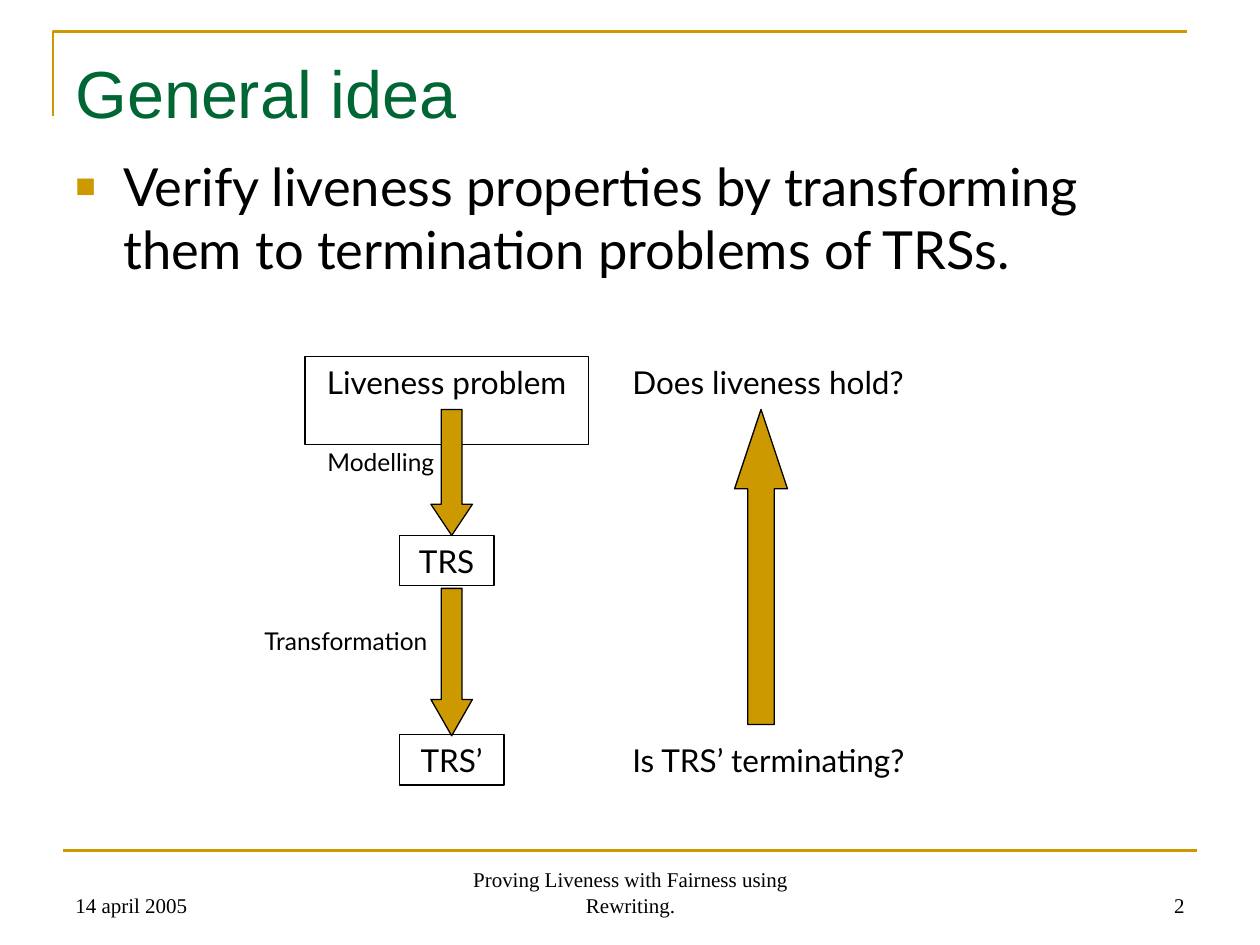
from pptx import Presentation
from pptx.dml.color import RGBColor
from pptx.enum.shapes import MSO_CONNECTOR, MSO_SHAPE
from pptx.enum.text import MSO_ANCHOR, PP_ALIGN
from pptx.oxml.ns import qn
from pptx.util import Inches, Pt
from lxml.etree import SubElement

GOLD = RGBColor(0xCC, 0x99, 0x00)
GREEN = RGBColor(0x00, 0x66, 0x33)
BLACK = RGBColor(0, 0, 0)


def write(frame, text, size=18, font="Lato", color=BLACK, align=PP_ALIGN.LEFT,
          anchor=MSO_ANCHOR.TOP, bullet=None):
    frame.word_wrap = True
    frame.vertical_anchor = anchor
    paragraph = frame.paragraphs[0]
    paragraph.text = text
    paragraph.alignment = align
    if bullet:
        props = paragraph._p.get_or_add_pPr()
        props.set("marL", str(Inches(0.38)))
        props.set("indent", str(-Inches(0.38)))
        bullet_color = SubElement(props, qn("a:buClr"))
        SubElement(bullet_color, qn("a:srgbClr"), val=str(GOLD))
        SubElement(props, qn("a:buSzPct"), val="65000")
        SubElement(props, qn("a:buFont"), typeface="Arial")
        SubElement(props, qn("a:buChar"), char=bullet)
    run_font = paragraph.runs[0].font
    run_font.name, run_font.size = font, Pt(size)
    run_font.color.rgb = color


class Diagram:
    """Draws elements in one style on one slide."""

    def __init__(self, slide):
        self.shapes = slide.shapes

    def text(self, text, left, top, width, height, **style):
        box = self.shapes.add_textbox(Inches(left), Inches(top),
                                      Inches(width), Inches(height))
        write(box.text_frame, text, **style)
        return box.text_frame

    def outlined(self, preset, left, top, width, height):
        shape = self.shapes.add_shape(preset, Inches(left), Inches(top),
                                      Inches(width), Inches(height))
        shape.shadow.inherit = False
        shape.line.color.rgb = BLACK
        shape.line.width = Pt(0.75)
        return shape

    def box(self, text, *place):
        shape = self.outlined(MSO_SHAPE.RECTANGLE, *place)
        shape.fill.background()
        write(shape.text_frame, text, align=PP_ALIGN.CENTER)

    def arrow(self, preset, head, *place):
        shape = self.outlined(preset, *place)
        shape.fill.solid()
        shape.fill.fore_color.rgb = GOLD
        shape.adjustments[0] = 0.5
        shape.adjustments[1] = head

    def rule(self, x1, x2, y):
        line = self.shapes.add_connector(MSO_CONNECTOR.STRAIGHT, Inches(x1),
                                         Inches(y), Inches(x2), Inches(y))
        line.line.color.rgb = GOLD
        line.line.width = Pt(1.5)
        SubElement(line._element.spPr, qn("a:effectLst"))

    def corner(self, left, top, right, bottom):
        builder = self.shapes.build_freeform(Inches(left), Inches(bottom))
        builder.add_line_segments([(Inches(left), Inches(top)),
                                   (Inches(right), Inches(top))], close=False)
        frame = builder.convert_to_shape()
        frame.shadow.inherit = False
        frame.fill.background()
        frame.line.color.rgb = GOLD
        frame.line.width = Pt(1.5)


def main():
    prs = Presentation()
    prs.slide_width, prs.slide_height = Inches(10), Inches(7.5)
    diagram = Diagram(prs.slides.add_slide(prs.slide_layouts[6]))

    # Frame lines
    diagram.corner(0.42, 0.25, 9.42, 0.92)
    diagram.rule(0.5, 9.5, 6.75)

    # Title and statement
    title = diagram.text("General idea", 0.5, 0.3, 9, 0.61,
                         size=38, font="Arial", color=GREEN)
    title.margin_top, title.margin_bottom = Inches(0.11), 0
    diagram.text("Verify liveness properties by transforming them to "
                 "termination problems of TRSs.", 0.5, 1.17, 9, 5.54,
                 size=30, bullet="■")

    # Problem, model and transformed model
    diagram.box("Liveness problem", 2.42, 2.83, 2.25, 0.7)
    diagram.box("TRS", 3.17, 4.25, 0.75, 0.4)
    diagram.box("TRS’", 3.17, 5.83, 0.83, 0.4)

    # Steps down
    diagram.arrow(MSO_SHAPE.DOWN_ARROW, 0.75, 3.42, 3.25, 0.33, 1)
    diagram.arrow(MSO_SHAPE.DOWN_ARROW, 0.875, 3.42, 4.67, 0.33, 1.17)
    diagram.text("Modelling", 2.5, 3.5, 2.17, 0.34, size=14)
    diagram.text("Transformation", 2, 4.92, 2.17, 0.34, size=14)

    # Questions, answered upwards
    diagram.text("Does liveness hold?", 4.92, 2.83, 3.08, 0.4)
    diagram.text("Is TRS’ terminating?", 4.92, 5.83, 3.08, 0.4)
    diagram.arrow(MSO_SHAPE.UP_ARROW, 1.5, 5.83, 3.25, 0.42, 2.5)

    # Footer
    for text, left, width, align in (
            ("14 april 2005", 0.5, 2.33, PP_ALIGN.LEFT),
            ("Proving Liveness with Fairness using Rewriting.",
             3.42, 3.17, PP_ALIGN.CENTER),
            ("2", 7.17, 2.33, PP_ALIGN.RIGHT)):
        diagram.text(text, left, 6.83, width, 0.5, size=12, align=align,
                     font="Times New Roman", anchor=MSO_ANCHOR.BOTTOM)

    prs.save("out.pptx")


if __name__ == "__main__":
    main()
